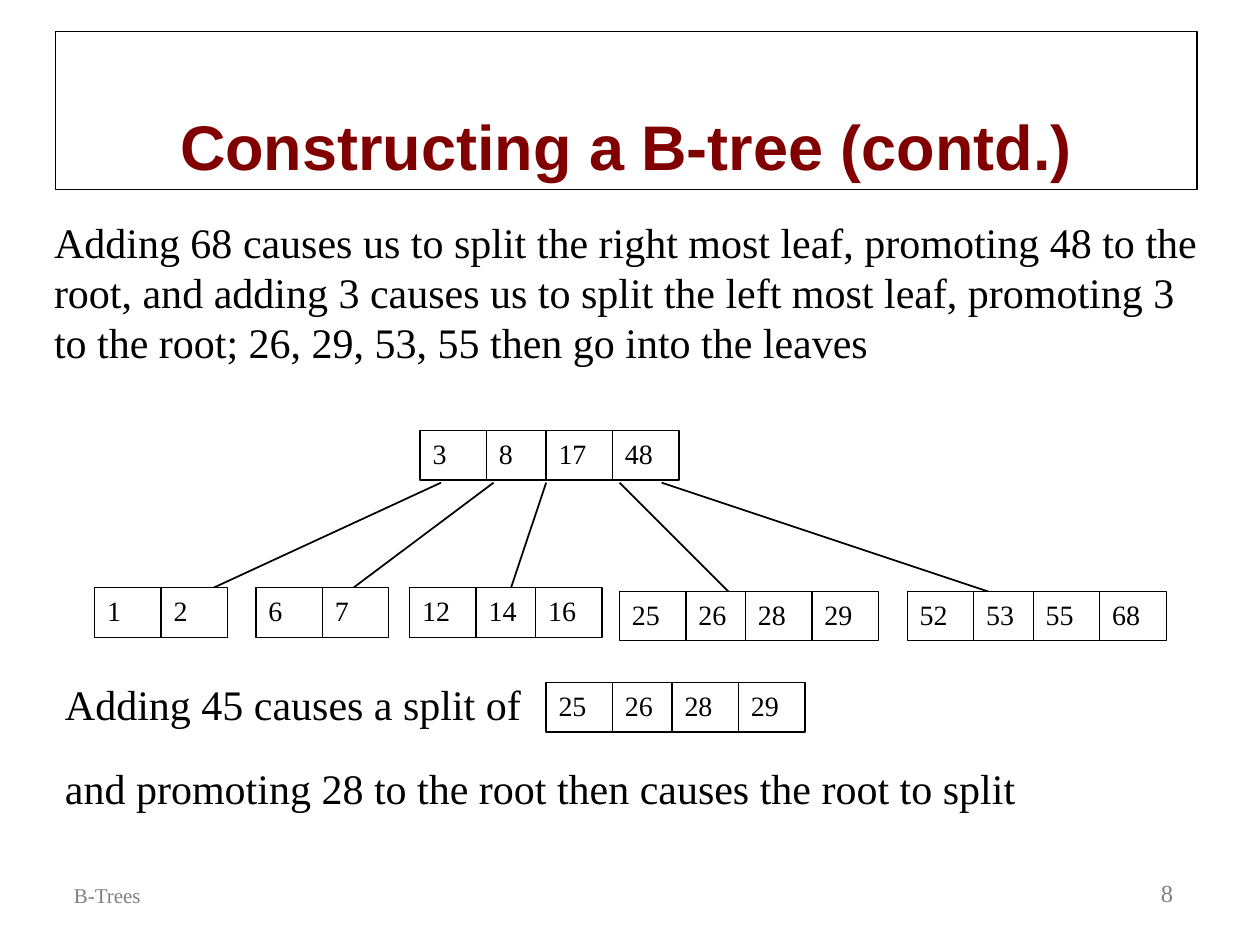
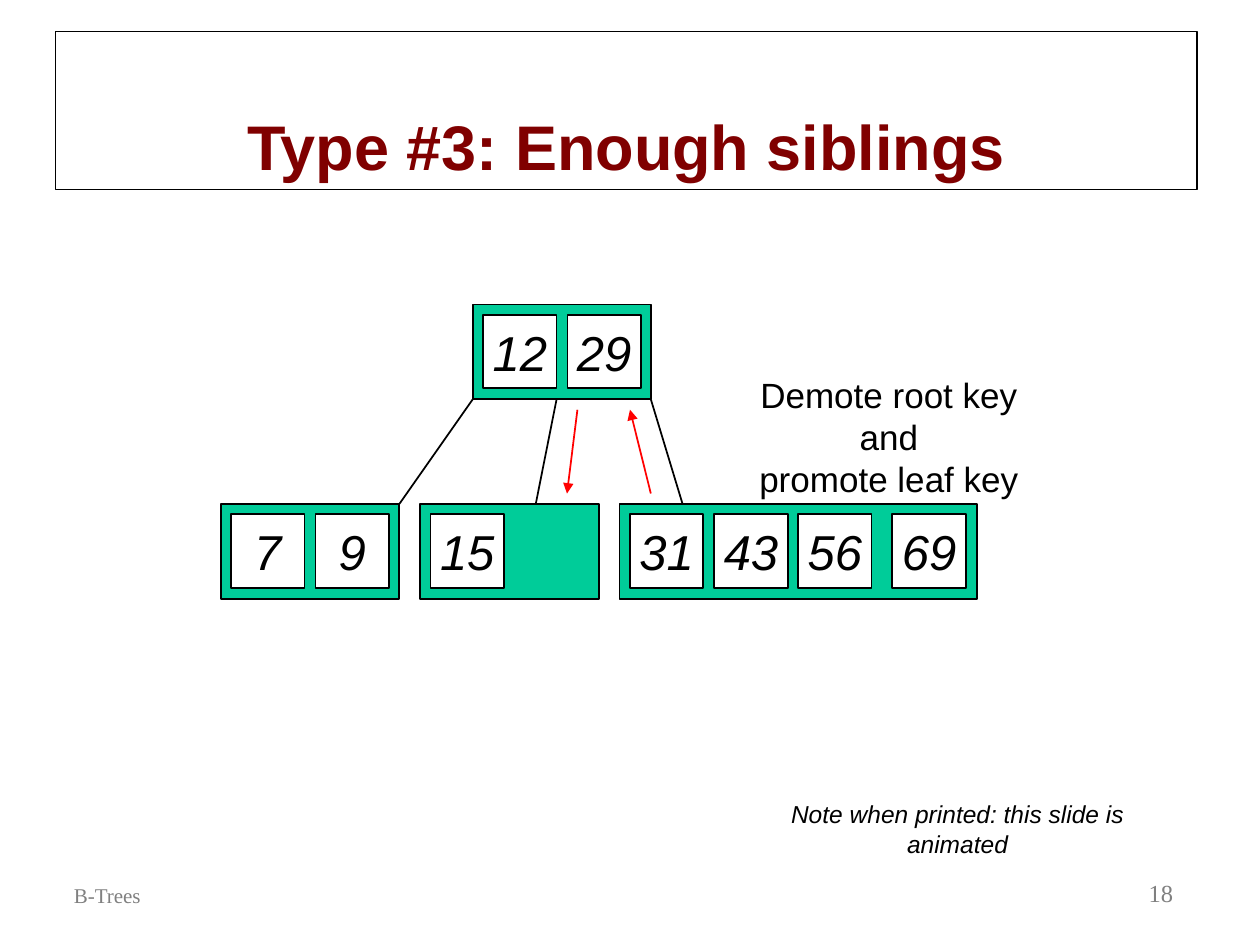
from lxml import etree
from pptx import Presentation
from pptx.dml.color import RGBColor
from pptx.enum.shapes import MSO_CONNECTOR, MSO_SHAPE
from pptx.enum.text import MSO_ANCHOR, PP_ALIGN
from pptx.oxml.ns import qn
from pptx.util import Cm, Pt

BLACK = RGBColor(0x00, 0x00, 0x00)
WHITE = RGBColor(0xFF, 0xFF, 0xFF)
MAROON = RGBColor(0x80, 0x00, 0x00)
GRAY = RGBColor(0x80, 0x80, 0x80)
GREEN = RGBColor(0x00, 0xCC, 0x99)
RED = RGBColor(0xFF, 0x00, 0x00)
SERIF, SANS = "Times New Roman", "Arial"

# All positions and sizes are in centimetres.
SPLIT_TEXTS = [
    ("Adding 68 causes us to split the right most leaf, promoting 48 to the "
     "root, and adding 3 causes us to split the left most leaf, promoting 3 "
     "to the root; 26, 29, 53, 55 then go into the leaves",
     (0.84, 4.23, 23.7, 3.3)),
    ("Adding 45 causes a split of", (1.06, 13.55, 10.16, 1.27)),
    ("and promoting 28 to the root then causes the root to split",
     (1.06, 15.24, 23.07, 1.27)),
]
SPLIT_NODES = [  # left, top, keys
    (8.47, 8.68, (3, 8, 17, 48)),
    (18.29, 11.92, (52, 53, 55, 68)),
    (12.49, 11.92, (25, 26, 28, 29)),
    (1.91, 11.85, (1, 2)),
    (5.16, 11.85, (6, 7)),
    (8.26, 11.85, (12, 14, 16)),
    (11.01, 13.76, (25, 26, 28, 29)),
]
SPLIT_BRANCHES = [  # x at root, x at leaf
    (8.89, 3.39), (9.95, 6.56), (11.01, 10.16), (12.49, 15.03), (13.34, 20.96),
]
BRANCH_TOP, BRANCH_BOTTOM = 9.73, 12.27
CELL_W, CELL_H, CELL_PAIR = 1.34, 1.0, 2.54

SIBLING_ROOT, SIBLING_LEAF = 6.14, 10.16
NODE_W, NODE_H = 3.6, 1.91
KEY_SIZE, KEY_MARGIN = 1.48, 0.21
KEY_OFFSETS = (0.21, 1.91, 3.6, 5.5)
SIBLING_NODES = [  # left, top, width in nodes, keys
    (9.53, SIBLING_ROOT, 1, (12, 29)),
    (4.45, SIBLING_LEAF, 1, (7, 9)),
    (8.47, SIBLING_LEAF, 1, (15,)),
    (12.49, SIBLING_LEAF, 2, (31, 43, 56, 69)),
]
SIBLING_BRANCHES = [(9.53, 8.05), (11.22, 10.8), (13.12, 13.76)]
KEY_MOVES = [((13.12, 9.95), (12.7, 8.26)), ((11.64, 8.26), (11.43, 9.95))]
DEMOTE_NOTE = ("Demote root key and\npromote leaf key", (14.39, 7.83, 7.06, 1.95))
PRINT_NOTE = ("Note when printed: this slide is animated", (14.63, 16.28, 9.35, 0.85))


def write(sp, content, size, font=SERIF, color=BLACK, align=PP_ALIGN.LEFT,
          anchor=MSO_ANCHOR.TOP, bold=False, italic=False, wrap=True):
    tf = sp.text_frame
    tf.text = str(content)
    tf.word_wrap = wrap
    tf.vertical_anchor = anchor
    for p in tf.paragraphs:
        p.alignment = align
        for r in p.runs:
            r.font.name, r.font.size = font, Pt(size)
            r.font.color.rgb = color
            r.font.bold, r.font.italic = bold, italic


def add_text(slide, content, box, size, **style):
    sp = slide.shapes.add_textbox(*map(Cm, box))
    write(sp, content, size, **style)
    return sp


def add_box(slide, box, fill=None, width=1):
    sp = slide.shapes.add_shape(MSO_SHAPE.RECTANGLE, *map(Cm, box))
    sp.shadow.inherit = False
    if fill is None:
        sp.fill.background()
    else:
        sp.fill.solid()
        sp.fill.fore_color.rgb = fill
    sp.line.color.rgb = BLACK
    sp.line.width = Pt(width)
    return sp


def add_line(slide, start, end, color=BLACK, arrow=False):
    line = slide.shapes.add_connector(MSO_CONNECTOR.STRAIGHT, *map(Cm, start + end))
    line.line.color.rgb = color
    line.line.width = Pt(1)
    if arrow:
        etree.SubElement(line.line._get_or_add_ln(), qn("a:tailEnd"), type="triangle")
    etree.SubElement(line._element.spPr, qn("a:effectLst"))


def add_slide(prs, title, number):
    """Add a slide with the shared title frame and footer."""
    slide = prs.slides.add_slide(prs.slide_layouts[6])
    add_text(slide, "B-Trees", (1.24, 17.15, 7.62, 1.27), 12,
             color=GRAY, anchor=MSO_ANCHOR.BOTTOM)
    add_text(slide, number, (18.62, 17.15, 5.28, 1.27), 14,
             color=GRAY, align=PP_ALIGN.RIGHT, anchor=MSO_ANCHOR.BOTTOM)
    frame = add_box(slide, (1.12, 0.64, 23.01, 3.18), width=0.75)
    write(frame, title, 36, SANS, MAROON, PP_ALIGN.CENTER, MSO_ANCHOR.BOTTOM, bold=True)
    return slide


def add_split_slide(prs):
    slide = add_slide(prs, "Constructing a B-tree (contd.)", 8)
    for root_x, leaf_x in SPLIT_BRANCHES:
        add_line(slide, (root_x, BRANCH_TOP), (leaf_x, BRANCH_BOTTOM))
    for content, box in SPLIT_TEXTS:
        add_text(slide, content, box, 24)
    for left, top, keys in SPLIT_NODES:
        for i, key in enumerate(keys):
            x = left + i // 2 * CELL_PAIR + i % 2 * CELL_W
            write(add_box(slide, (x, top, CELL_W, CELL_H), WHITE, 0.75), key, 16)


def add_sibling_slide(prs):
    slide = add_slide(prs, "Type #3: Enough siblings", 18)
    centred = dict(font=SANS, align=PP_ALIGN.CENTER, anchor=MSO_ANCHOR.MIDDLE)
    for left, top, span, keys in SIBLING_NODES:
        add_box(slide, (left, top, span * NODE_W, NODE_H), GREEN)
        for offset, key in zip(KEY_OFFSETS, keys):
            sp = add_box(slide, (left + offset, top + KEY_MARGIN, KEY_SIZE, KEY_SIZE), WHITE)
            write(sp, key, 28, italic=True, wrap=False, **centred)
    for root_x, leaf_x in SIBLING_BRANCHES:
        add_line(slide, (root_x, SIBLING_ROOT + NODE_H), (leaf_x, SIBLING_LEAF))
    for start, end in KEY_MOVES:
        add_line(slide, start, end, RED, arrow=True)
    for (content, box), size, italic in ((DEMOTE_NOTE, 20, False), (PRINT_NOTE, 14, True)):
        tf = add_text(slide, content, box, size, italic=italic, **centred).text_frame
        tf.margin_left = tf.margin_right = Cm(0.5)


def main():
    prs = Presentation()
    prs.slide_width, prs.slide_height = Cm(25.4), Cm(19.05)
    add_split_slide(prs)
    add_sibling_slide(prs)
    prs.save("out.pptx")


if __name__ == "__main__":
    main()
